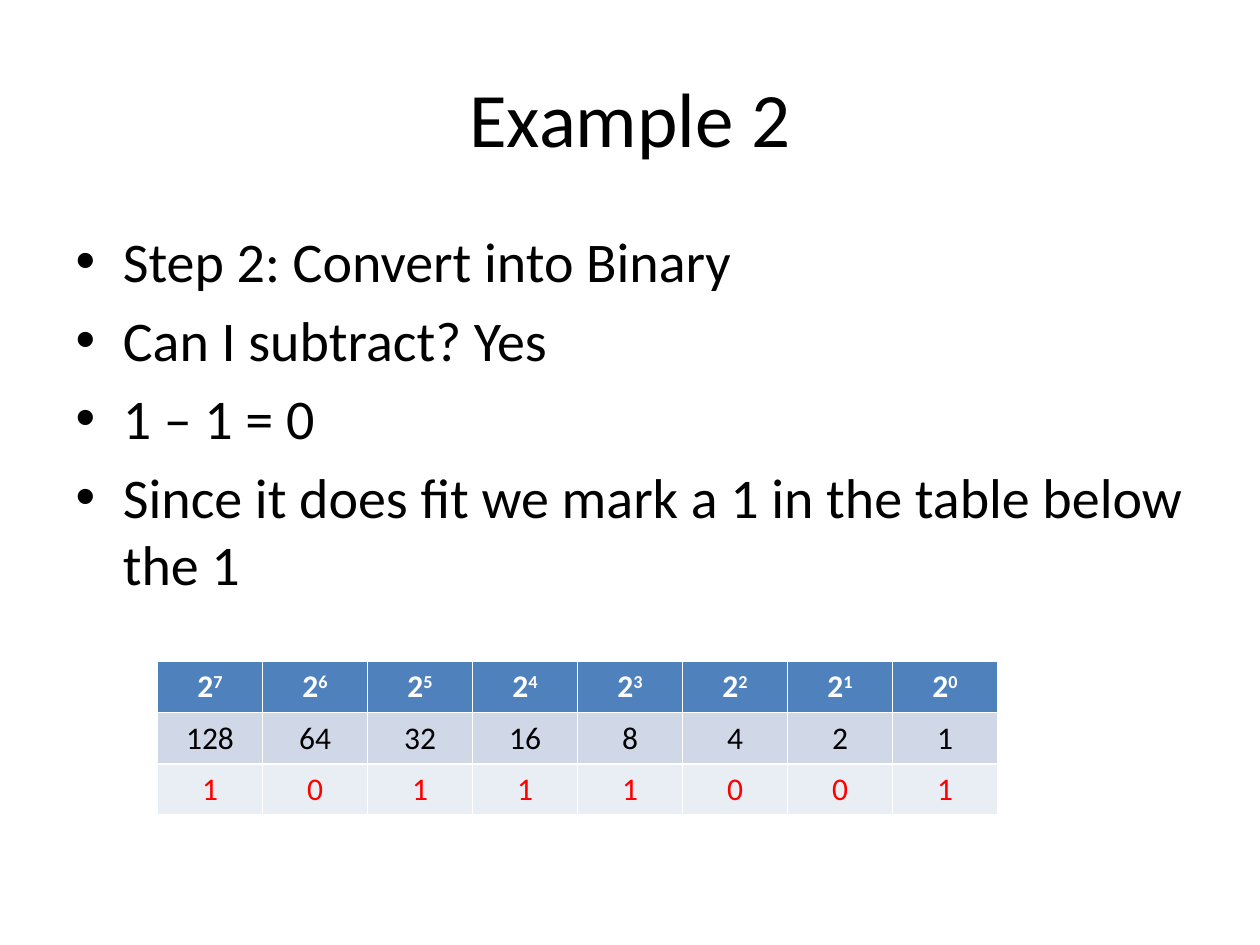
from dataclasses import dataclass

from pptx import Presentation
from pptx.dml.color import RGBColor
from pptx.enum.text import MSO_ANCHOR, PP_ALIGN
from pptx.util import Inches, Pt

CENTER = PP_ALIGN.CENTER
MIDDLE = MSO_ANCHOR.MIDDLE
TITLE_AND_CONTENT = 1
WIDTH, HEIGHT = Inches(10), Inches(7.5)
BITS = "10111001"
STEPS = [
    "Step 2: Convert into Binary",
    "Can I subtract? Yes",
    "1 – 1 = 0",
    "Since it does fit we mark a 1 in the table below the 1",
]


@dataclass(frozen=True)
class Theme:
    """Font, type sizes and colours of the slide."""
    font: str = "Calibri"
    title_size: int = 44
    body_size: int = 32
    cell_size: int = 18
    text: str = "000000"
    header_text: str = "FFFFFF"
    bit_text: str = "FF0000"
    header_fill: str = "4F81BD"
    value_fill: str = "D0D8E8"
    bit_fill: str = "E9EDF4"


THEME = Theme()


def place(shape, left, top, width, height):
    """Position a shape by shares of the slide's size."""
    shape.left, shape.width = int(WIDTH * left), int(WIDTH * width)
    shape.top, shape.height = int(HEIGHT * top), int(HEIGHT * height)


def format_runs(para, size, color, bold=False):
    """Apply font, size, colour and weight to every run of a paragraph."""
    for span in para.runs:
        span.font.name = THEME.font
        span.font.size = Pt(size)
        span.font.bold = bold
        span.font.color.rgb = RGBColor.from_string(color)


def fill_title(box, text):
    """Write the centred slide title."""
    place(box, 0.05, 0.04, 0.9, 1 / 6)
    box.text_frame.text = text
    box.text_frame.vertical_anchor = MIDDLE
    para = box.text_frame.paragraphs[0]
    para.alignment = CENTER
    format_runs(para, THEME.title_size, THEME.text)


def fill_body(box, lines):
    """Write the bulleted list in the body placeholder."""
    place(box, 0.05, 7 / 30, 0.9, 0.66)
    box.text_frame.text = "\n".join(lines)
    for para in box.text_frame.paragraphs:
        format_runs(para, THEME.body_size, THEME.text)


def fill_cell(cell, text, fill, color, exponent=None):
    """Fill one table cell, as a bold power when an exponent is given."""
    cell.fill.solid()
    cell.fill.fore_color.rgb = RGBColor.from_string(fill)
    cell.margin_left = cell.margin_right = Inches(0.07)
    cell.margin_top = cell.margin_bottom = Inches(0.05)
    cell.text = str(text)
    para = cell.text_frame.paragraphs[0]
    para.alignment = CENTER
    is_power = exponent is not None
    if is_power:
        raised = para.add_run()
        raised.text = str(exponent)
        raised.font._element.set("baseline", "30000")
    format_runs(para, THEME.cell_size, color, bold=is_power)


def add_binary_table(page, bits):
    """Add the table of powers, place values and marked bits."""
    frame = page.shapes.add_table(
        3, len(bits), Inches(1.25), Inches(5.25), Inches(6.67), Inches(1.22))
    table = frame.table
    for column, bit in enumerate(bits):
        power = len(bits) - 1 - column
        fill_cell(table.cell(0, column), 2, THEME.header_fill,
                  THEME.header_text, exponent=power)
        fill_cell(table.cell(1, column), 2 ** power, THEME.value_fill, THEME.text)
        fill_cell(table.cell(2, column), bit, THEME.bit_fill, THEME.bit_text)


def main():
    """Build and save the slide."""
    deck = Presentation()
    deck.slide_width, deck.slide_height = WIDTH, HEIGHT
    page = deck.slides.add_slide(deck.slide_layouts[TITLE_AND_CONTENT])
    fill_title(page.shapes.title, "Example 2")
    fill_body(page.placeholders[1], STEPS)
    add_binary_table(page, BITS)
    deck.save("out.pptx")


if __name__ == "__main__":
    main()
